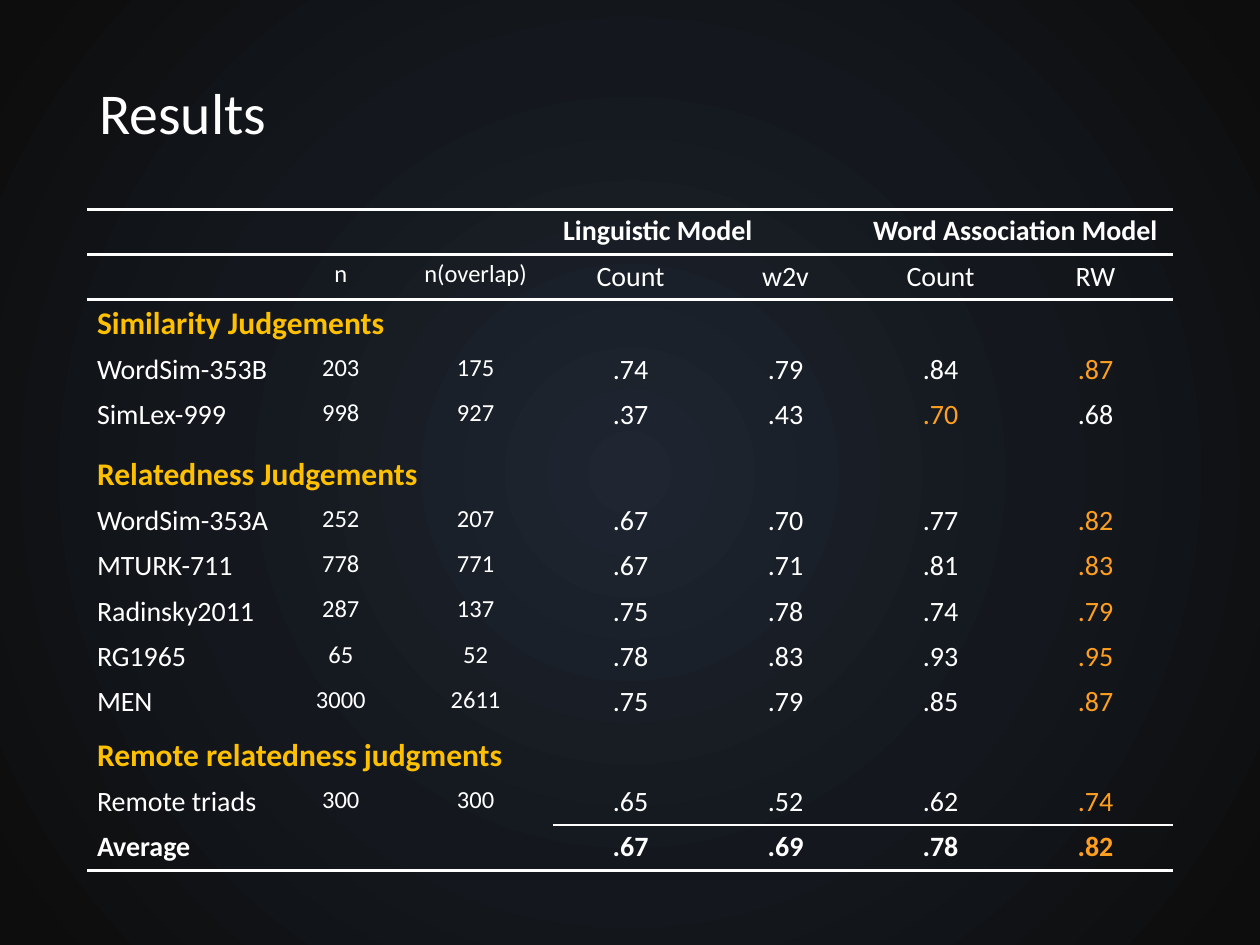
from lxml.etree import SubElement
from pptx import Presentation
from pptx.dml.color import RGBColor
from pptx.enum.text import MSO_ANCHOR, PP_ALIGN
from pptx.oxml import parse_xml
from pptx.oxml.ns import nsdecls, qn
from pptx.util import Inches, Pt

# Content: a one-item row is a section heading
TITLE = "Results"
ROWS = [
    ("", "", "", "Linguistic Model", "", "Word Association Model", ""),
    ("", "n", "n(overlap)", "Count", "w2v", "Count", "RW"),
    ("Similarity Judgements",),
    ("WordSim-353B", "203", "175", ".74", ".79", ".84", ".87"),
    ("SimLex-999", "998", "927", ".37", ".43", ".70", ".68"),
    ("Relatedness Judgements",),
    ("WordSim-353A", "252", "207", ".67", ".70", ".77", ".82"),
    ("MTURK-711", "778", "771", ".67", ".71", ".81", ".83"),
    ("Radinsky2011", "287", "137", ".75", ".78", ".74", ".79"),
    ("RG1965", "65", "52", ".78", ".83", ".93", ".95"),
    ("MEN", "3000", "2611", ".75", ".79", ".85", ".87"),
    ("Remote relatedness judgments",),
    ("Remote triads", "300", "300", ".65", ".52", ".62", ".74"),
    ("Average", "", "", ".67", ".69", ".78", ".82"),
]
WIDTHS = [1.56, 0.91] + [1.23] * 5
HEIGHTS = {2: 0.38, 5: 0.48, 11: 0.43}
HEIGHT = 0.36
LAST = len(ROWS) - 1
SCORE = 3  # first score column

THEME = {
    "font": "Calibri", "text": "FFFFFF", "head": "FFC000", "best": "FF9F1F",
    "title": 33, "section": 18, "body": 16, "small": 14,
    "glow": [(0, "1F2631"), (53, "14181E"), (97, "0D0D0D"), (100, "0D0D0D")],
}
PLAIN = "{2D5ABB26-0587-4C30-8999-92F81FD0307C}"


def write(para, text, size, color="text", bold=False):
    run = para.add_run()
    run.text = text
    font = run.font
    font.name, font.size, font.bold = THEME["font"], Pt(size), bold
    font.color.rgb = RGBColor.from_string(THEME[color])


def rule(cell, side, width):
    line = parse_xml(
        f'<a:{side} {nsdecls("a")} w="{Pt(width)}"><a:solidFill>'
        f'<a:srgbClr val="{THEME["text"]}"/></a:solidFill></a:{side}>')
    props = cell._tc.get_or_add_tcPr()
    props.insert(len(props) - 1, line)  # lines come before the fill


def paint(slide):
    stops = "".join(f'<a:gs pos="{at * 1000}"><a:srgbClr val="{color}"/></a:gs>'
                    for at, color in THEME["glow"])
    slide._element.cSld.insert(0, parse_xml(
        f'<p:bg {nsdecls("p", "a")}><p:bgPr><a:gradFill rotWithShape="1">'
        f'<a:gsLst>{stops}</a:gsLst><a:path path="circle">'
        '<a:fillToRect l="50000" t="50000" r="50000" b="50000"/></a:path>'
        '</a:gradFill><a:effectLst/></p:bgPr></p:bg>'))


def fill(cell, row, col):
    items = ROWS[row]
    text = items[col] if col < len(items) else ""
    section = len(items) == 1
    cell.margin_left = cell.margin_right = Inches(0.08)
    cell.margin_top = cell.margin_bottom = Inches(0.04)
    cell.fill.background()
    para = cell.text_frame.paragraphs[0]
    if not text:
        # Small type keeps an empty cell from stretching its row
        SubElement(para._p, qn("a:endParaRPr"), sz=str(THEME["small"] * 100))
        return
    if col and row:
        para.alignment = PP_ALIGN.CENTER
    if section:
        if row > 2:
            cell.vertical_anchor = MSO_ANCHOR.BOTTOM
        write(para, text, THEME["section"], "head", True)
        return
    best = row > 2 and col >= SCORE and text == max(items[SCORE:])
    size = THEME["small" if col in (1, 2) else "body"]
    write(para, text, size, "best" if best else "text", row in (0, LAST))


def edge(cell, row, col):
    score = col >= SCORE
    if row == 0:
        rule(cell, "lnT", 2)
    if row == 1:
        rule(cell, "lnT", 2)
    if row == LAST and score:
        rule(cell, "lnT", 1)
    if row in (0, LAST):
        rule(cell, "lnB", 2)
    elif row in (1, LAST - 1) and score:
        rule(cell, "lnB", 1)


def main():
    deck = Presentation()
    deck.slide_width, deck.slide_height = Inches(10), Inches(7.5)
    slide = deck.slides.add_slide(deck.slide_layouts[6])
    paint(slide)

    # Title
    box = slide.shapes.add_textbox(Inches(0.69), Inches(0.4), Inches(8.62), Inches(1.04))
    frame = box.text_frame
    frame.word_wrap = True
    frame.vertical_anchor = MSO_ANCHOR.MIDDLE
    frame.paragraphs[0].line_spacing = 0.9
    write(frame.paragraphs[0], TITLE, THEME["title"])

    # Table grid
    tall = [HEIGHTS.get(row, HEIGHT) for row in range(len(ROWS))]
    table = slide.shapes.add_table(
        len(ROWS), len(WIDTHS), Inches(0.69), Inches(1.66),
        Inches(sum(WIDTHS)), Inches(sum(tall))).table
    table.first_row = table.horz_banding = False
    table._tbl.tblPr.find(qn("a:tableStyleId")).text = PLAIN
    for col, width in enumerate(WIDTHS):
        table.columns[col].width = Inches(width)

    # Cells and rules
    for row, items in enumerate(ROWS):
        table.rows[row].height = Inches(tall[row])
        for col in range(len(WIDTHS)):
            cell = table.cell(row, col)
            fill(cell, row, col)
            edge(cell, row, col)
        if len(items) == 1:
            table.cell(row, 0).merge(table.cell(row, len(WIDTHS) - 1))
    for col in (3, 5):
        table.cell(0, col).merge(table.cell(0, col + 1))

    deck.save("out.pptx")


if __name__ == "__main__":
    main()
